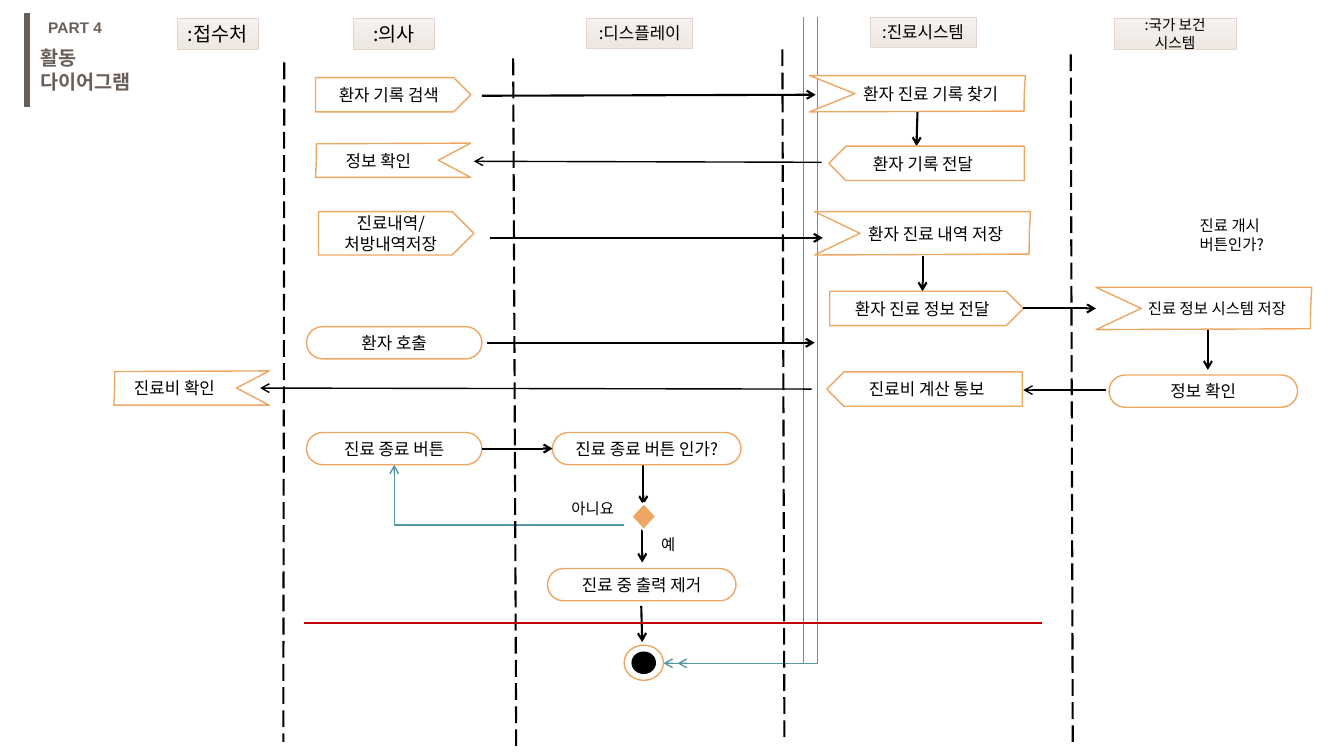
import pptx
import pptx.util
import pptx.dml.color
import pptx.enum.dml
import pptx.enum.shapes
import pptx.enum.text
import pptx.oxml.ns
from lxml import etree
from dataclasses import dataclass

Inches = pptx.util.Inches
Preset = pptx.enum.shapes.MSO_SHAPE
Connector = pptx.enum.shapes.MSO_CONNECTOR
qn = pptx.oxml.ns.qn


@dataclass
class Theme:
    font: str = "Noto Sans CJK KR"
    latin_font: str = "Arial"
    black: str = "000000"
    white: str = "FFFFFF"
    orange: str = "EDA762"
    teal: str = "5397A2"
    red: str = "C00000"
    brown: str = "6A5F58"
    header_top: str = "F6F2F0"
    header_bottom: str = "EEE7E2"
    header_line: str = "E1D5CE"
    heading: float = 14
    body: float = 12
    small: float = 11
    tiny: float = 10.5
    thin: float = 1
    thick: float = 1.5


def rgb(value):
    return pptx.dml.color.RGBColor.from_string(value)


class ActivityDiagram:
    """Holds the theme and the current slide."""

    def __init__(self, page, theme):
        self.page = page
        self.theme = theme

    def set_text(self, box, text, size, color=None, bold=False, centered=True, font=None):
        frame = box.text_frame
        frame.word_wrap = True
        frame.text = text
        for para in frame.paragraphs:
            para.alignment = pptx.enum.text.PP_ALIGN.CENTER if centered else pptx.enum.text.PP_ALIGN.LEFT
            for span in para.runs:
                span.font.size = pptx.util.Pt(size)
                span.font.bold = bold
                span.font.name = font or self.theme.font
                span.font.color.rgb = rgb(color or self.theme.black)
                east_asian = etree.SubElement(span.font._element, qn("a:ea"))
                east_asian.set("typeface", font or self.theme.font)

    def label(self, text, left, top, width, height, size, **style):
        box = self.page.shapes.add_textbox(Inches(left), Inches(top), Inches(width), Inches(height))
        self.set_text(box, text, size, centered=False, **style)
        return box

    def paint(self, box, fill, line, weight):
        box.shadow.inherit = False
        box.fill.solid()
        box.fill.fore_color.rgb = rgb(fill)
        box.line.color.rgb = rgb(line)
        box.line.width = pptx.util.Pt(weight)
        box.text_frame.vertical_anchor = pptx.enum.text.MSO_ANCHOR.MIDDLE

    def shape(self, preset, left, top, width, height, text="", fill=None, line=None,
              weight=None, size=None, rotation=0, parent=None):
        owner = parent or self.page
        box = owner.shapes.add_shape(preset, Inches(left), Inches(top), Inches(width), Inches(height))
        self.paint(box, fill or self.theme.white, line or self.theme.orange, weight or self.theme.thin)
        box.rotation = rotation
        if text:
            self.set_text(box, text, size or self.theme.body)
        return box

    def header(self, text, left, top, width, height, size):
        box = self.shape(Preset.RECTANGLE, left, top, width, height, text,
                         line=self.theme.header_line, weight=0.5, size=size)
        box.fill.gradient()
        box.fill.gradient_angle = 270
        for stop, color in zip(box.fill.gradient_stops, (self.theme.header_top, self.theme.header_bottom)):
            stop.color.rgb = rgb(color)

    def pill(self, text, left, top, width):
        box = self.shape(Preset.ROUNDED_RECTANGLE, left, top, width, 0.32, text)
        box.adjustments[0] = 0.5
        return box

    def notch(self, left, top, width, height, text="", size=None, mirrored=False):
        """Flag with a wedge cut into one end."""
        outline = [(0, 0), (1, 0), (0.995, 0.5), (0.994, 0.98), (0, 1), (0.21, 0.5)]
        if mirrored:
            outline = [(1 - x, 1 - y) for x, y in outline]
        points = [(Inches(left + x * width), Inches(top + y * height)) for x, y in outline]
        builder = self.page.shapes.build_freeform(*points[0])
        builder.add_line_segments(points[1:], close=True)
        box = builder.convert_to_shape()
        self.paint(box, self.theme.white, self.theme.orange, self.theme.thin)
        if text:
            self.set_text(box, text, size or self.theme.body)
            box.text_frame.margin_left = Inches(0.36)

    def line(self, x1, y1, x2, y2, color=None, weight=None, dash=None, arrow=False, kind=Connector.STRAIGHT):
        link = self.page.shapes.add_connector(kind, Inches(x1), Inches(y1), Inches(x2), Inches(y2))
        link.line.color.rgb = rgb(color or self.theme.black)
        link.line.width = pptx.util.Pt(weight or self.theme.thick)
        if dash:
            link.line.dash_style = dash
        properties = link._element.spPr
        if arrow:
            tail = etree.SubElement(properties.find(qn("a:ln")), qn("a:tailEnd"))
            tail.set("type", "arrow")
        etree.SubElement(properties, qn("a:effectLst"))
        return link

    def elbow(self, left, top, width, height, rotation):
        """One-corner arrow; the frame is given before rotation."""
        link = self.line(left, top, left + width, top + height, self.theme.teal,
                         self.theme.thin, arrow=True, kind=Connector.ELBOW)
        properties = link._element.spPr
        properties.find(qn("a:prstGeom")).set("prst", "bentConnector2")
        properties.find(qn("a:xfrm")).set("rot", str(rotation * 60000))


def main():
    deck = pptx.Presentation()
    deck.slide_width, deck.slide_height = Inches(13.33), Inches(7.5)
    theme = Theme()
    diagram = ActivityDiagram(deck.slides.add_slide(deck.slide_layouts[6]), theme)

    # Return flows
    for left in (4.07, 4.21):
        diagram.elbow(left, 2.68, 6.41, 1.39, 90)
    diagram.elbow(3.91, 4.61, 2.28, 0.6, 180)

    # Title
    diagram.line(0.27, 0.13, 0.27, 1.06, theme.brown, 4.5)
    part = diagram.label("PART 4", 0.38, 0.13, 0.75, 0.29, theme.small,
                         color=theme.brown, bold=True, font=theme.latin_font)
    part.text_frame.word_wrap = False
    diagram.label("활동 다이어그램", 0.3, 0.41, 1.37, 0.34, theme.heading, color=theme.brown, bold=True)

    # Swimlane borders and headers
    for x1, y1, x2, y2 in ((2.82, 0.62, 2.81, 7.36), (5.09, 0.58, 5.12, 7.4),
                           (7.76, 0.49, 7.78, 7.32), (10.62, 0.54, 10.64, 7.36)):
        diagram.line(x1, y1, x2, y2, dash=pptx.enum.dml.MSO_LINE.LONG_DASH)
    for text, left, top, width, height, size in (
            (":접수처", 1.76, 0.18, 0.8, 0.31, theme.heading),
            (":의사", 3.51, 0.18, 0.8, 0.31, theme.heading),
            (":디스플레이", 5.82, 0.18, 1.05, 0.3, theme.body),
            (":진료시스템", 8.63, 0.17, 1.05, 0.3, theme.body),
            (":국가 보건 시스템", 11.05, 0.18, 1.21, 0.31, theme.tiny)):
        diagram.header(text, left, top, width, height, size)

    # Free-standing flow arrows
    for ends in ((4.78, 0.95, 8.09, 0.94), (9.1, 1.1, 9.09, 1.45), (4.86, 2.36, 8.16, 2.36),
                 (9.15, 2.54, 9.15, 2.89), (11.98, 3.27, 11.98, 3.67), (4.83, 3.4, 8.08, 3.4),
                 (6.38, 4.61, 6.38, 5.01), (6.37, 5.18, 6.37, 5.58), (6.36, 6.01, 6.37, 6.37)):
        diagram.line(*ends, arrow=True)
    for ends in ((8.15, 1.61, 4.7, 1.6), (10.97, 3.87, 10.15, 3.87), (8.05, 3.86, 2.58, 3.85)):
        diagram.line(*ends, weight=theme.thin, arrow=True)

    # Sending activities
    diagram.shape(Preset.PENTAGON, 3.13, 0.77, 1.54, 0.34, "환자 기록 검색")
    diagram.shape(Preset.PENTAGON, 3.16, 2.1, 1.54, 0.43, "진료내역/\n처방내역저장")
    transfer = diagram.shape(Preset.PENTAGON, 8.23, 2.89, 1.92, 0.34, "환자 진료 정보 전달")
    for left, top in ((8.22, 1.45), (8.2, 3.69)):
        diagram.shape(Preset.PENTAGON, left, top, 1.94, 0.34, rotation=180)

    # Receiving activities
    diagram.notch(8.03, 0.75, 2.14, 0.36, "환자 진료 기록 찾기")
    diagram.notch(8.08, 2.1, 2.14, 0.43, "환자 진료 내역 저장")
    diagram.notch(10.87, 2.85, 2.14, 0.42, "진료 정보 시스템 저장", theme.small)
    for left, top in ((3.13, 1.42), (1.13, 3.68)):
        diagram.notch(left, top, 1.54, 0.34, mirrored=True)

    # Rounded activities
    diagram.pill("정보 확인", 11, 3.72, 1.87)
    diagram.pill("환자 호출", 3.04, 3.24, 1.74)
    end_button = diagram.pill("진료 종료 버튼", 3.04, 4.29, 1.74)
    end_check = diagram.pill("진료 종료 버튼 인가?", 5.48, 4.29, 1.87)
    diagram.pill("진료 중 출력 제거", 5.43, 5.64, 1.87)

    # Joined arrows
    diagram.line(10.15, 3.06, 10.87, 3.06, arrow=True).begin_connect(transfer, 3)
    check_arrow = diagram.line(4.78, 4.45, 5.48, 4.45, arrow=True)
    check_arrow.begin_connect(end_button, 3)
    check_arrow.end_connect(end_check, 1)

    # Decision and end point
    diagram.shape(Preset.DIAMOND, 6.26, 4.99, 0.25, 0.27, fill=theme.orange,
                  line=theme.white, weight=theme.thick)
    end_point = diagram.page.shapes.add_group_shape()
    diagram.shape(Preset.OVAL, 6.19, 6.4, 0.39, 0.35, parent=end_point)
    diagram.shape(Preset.OVAL, 6.27, 6.47, 0.23, 0.21, fill=theme.black, line=theme.black, parent=end_point)
    diagram.line(3.02, 6.18, 10.33, 6.18, theme.red)

    # Labels
    for text, left, top, width in (("환자 기록 전달", 8.56, 1.48, 1.35), ("정보 확인", 3.33, 1.45, 1.35),
                                   ("진료비 계산 통보", 8.52, 3.71, 1.63), ("진료비 확인", 1.23, 3.7, 1.35)):
        diagram.label(text, left, top, width, 0.3, theme.body)
    diagram.label("진료 개시\n버튼인가?", 11.8, 2.1, 1.02, 0.47, theme.small)
    diagram.label("예", 6.46, 5.26, 0.36, 0.29, theme.small)
    diagram.label("아니요", 5.57, 4.9, 0.76, 0.29, theme.small)

    deck.save("out.pptx")


if __name__ == "__main__":
    main()
